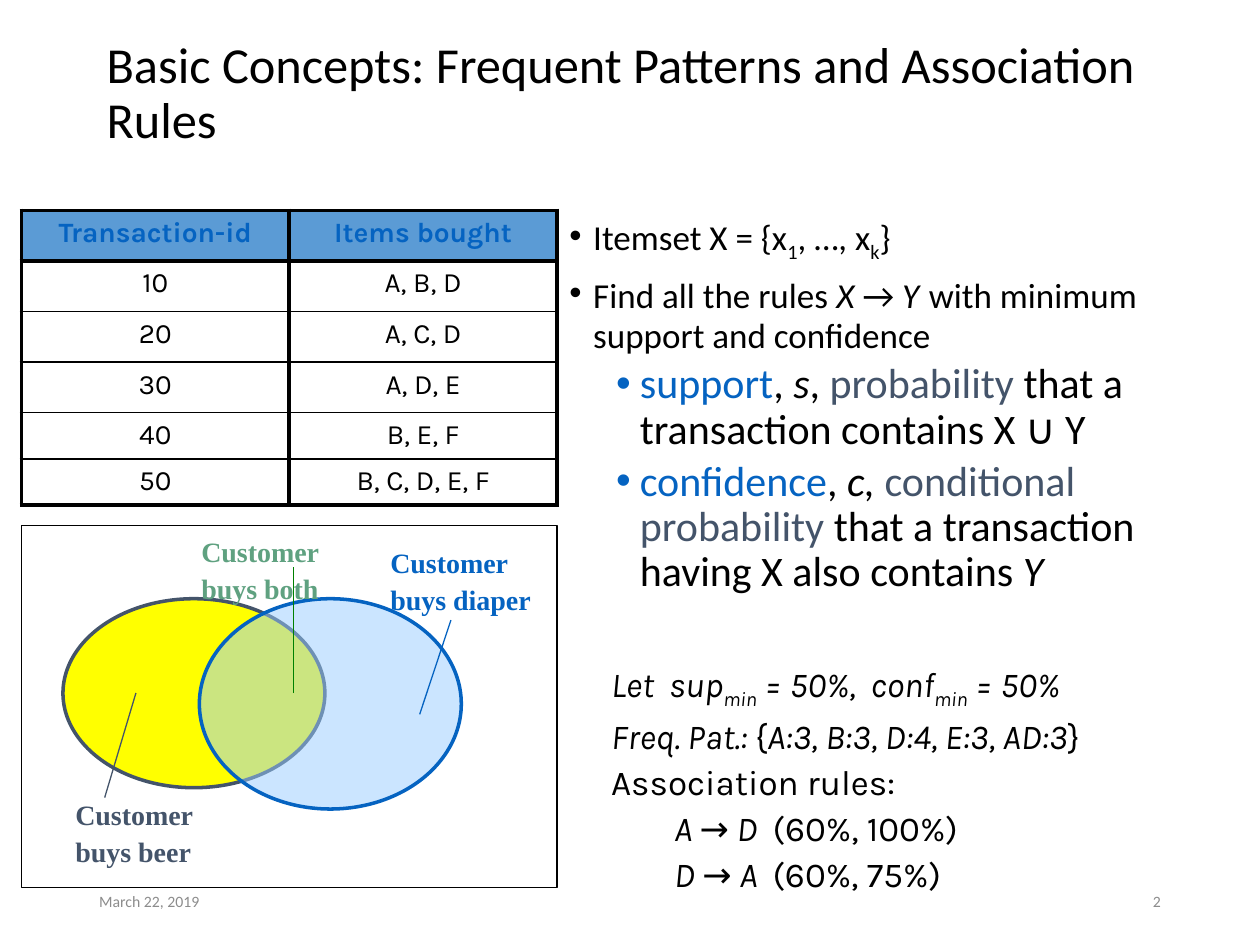
"""Build the slide on frequent patterns and association rules."""
from dataclasses import dataclass

from lxml import etree
from pptx import Presentation
from pptx import util as u
from pptx.dml.color import RGBColor
from pptx.enum import shapes, text
from pptx.oxml import ns

COLOURS = {
    "black": "000000", "grey": "8C8C8C", "blue": "0563C1", "slate": "44546A",
    "header": "5B9BD5", "yellow": "FFFF00", "sky": "99CCFF",
    "sage": "5FA180", "green": "008000",
}
SERIF, SANS, KARLA = "Times New Roman", "Calibri", "Karla"


@dataclass(frozen=True)
class Span:
    words: str
    size: float = 20
    colour: str = "black"
    font: str = SANS
    italic: bool = False
    bold: bool = False
    subscript: bool = False


@dataclass(frozen=True)
class Para:
    spans: list[Span]
    spacing: float = 1.0
    before: float = 0
    margin: float = 0
    level: int = 0
    bullet: bool = False
    align: text.PP_ALIGN = text.PP_ALIGN.LEFT


@dataclass(frozen=True)
class Area:
    left: float
    top: float
    width: float
    height: float

    def lengths(self) -> list[u.Cm]:
        return [u.Cm(n) for n in (self.left, self.top, self.width, self.height)]


@dataclass(frozen=True)
class Label:
    area: Area
    lines: tuple[str, str]
    colour: str


@dataclass(frozen=True)
class Oval:
    area: Area
    fill: str
    line: str
    opacity: int


@dataclass(frozen=True)
class Pointer:
    start: tuple[float, float]
    end: tuple[float, float]
    colour: str


def rgb(name: str) -> RGBColor:
    return RGBColor.from_string(COLOURS[name])


def child(parent, tag: str, **attributes: str):
    return etree.SubElement(parent, ns.qn(tag), attributes)


def write_para(para, content: Para) -> None:
    properties = para._p.get_or_add_pPr()
    if content.margin:
        properties.set("marL", str(u.Cm(content.margin)))
        properties.set("indent", str(u.Cm(-0.48) if content.bullet else 0))
    if content.bullet:
        child(properties, "a:buFont", typeface="Arial")
        child(properties, "a:buChar", char="•")
    para.level = content.level
    para.alignment = content.align
    para.line_spacing = content.spacing
    para.space_before = u.Pt(content.before)
    for item in content.spans:
        span = para.add_run()
        span.text = item.words
        span.font.name = item.font
        span.font.size = u.Pt(item.size)
        span.font.color.rgb = rgb(item.colour)
        span.font.italic = item.italic
        span.font.bold = item.bold
        if item.subscript:
            span._r.get_or_add_rPr().set("baseline", "-25000")


def write_frame(frame, paras: list[Para]) -> None:
    for index, content in enumerate(paras):
        write_para(frame.add_paragraph() if index else frame.paragraphs[0], content)


def add_text(page, area: Area, paras: list[Para], anchor=text.MSO_ANCHOR.TOP) -> None:
    frame = page.shapes.add_textbox(*area.lengths()).text_frame
    frame.word_wrap = True
    frame.vertical_anchor = anchor
    write_frame(frame, paras)


def add_oval(page, oval: Oval) -> None:
    shape = page.shapes.add_shape(shapes.MSO_SHAPE.OVAL, *oval.area.lengths())
    shape.shadow.inherit = False
    shape.fill.solid()
    shape.fill.fore_color.rgb = rgb(oval.fill)
    shape.line.color.rgb = rgb(oval.line)
    shape.line.width = u.Pt(2)
    colour = shape._element.spPr.find(ns.qn("a:solidFill"))[0]
    child(colour, "a:alpha", val=str(oval.opacity * 1000))


def add_pointer(page, pointer: Pointer) -> None:
    ends = [u.Cm(n) for n in pointer.start + pointer.end]
    line = page.shapes.add_connector(shapes.MSO_CONNECTOR.STRAIGHT, *ends)
    line.line.color.rgb = rgb(pointer.colour)
    line.line.width = u.Pt(0.75)
    child(line._element.spPr, "a:effectLst")


def add_label(page, label: Label) -> None:
    paras = [Para([Span(line, 16, label.colour, SERIF, bold=True)], 1.1) for line in label.lines]
    add_text(page, label.area, paras)


def add_frame(page, area: Area) -> None:
    shape = page.shapes.add_shape(shapes.MSO_SHAPE.RECTANGLE, *area.lengths())
    shape.shadow.inherit = False
    shape.fill.background()
    shape.line.color.rgb = rgb("black")
    shape.line.width = u.Pt(0.75)


def set_borders(cell, top: float, bottom: float) -> None:
    properties = cell._tc.get_or_add_tcPr()
    for side, width in (("L", 2.25), ("R", 2.25), ("T", top), ("B", bottom)):
        border = child(properties, f"a:ln{side}", w=str(u.Pt(width)))
        child(child(border, "a:solidFill"), "a:srgbClr", val=COLOURS["black"])


def add_transactions(page, area: Area, rows: list[tuple[str, str]], heights: list[float]) -> None:
    table = page.shapes.add_table(len(rows), 2, *area.lengths()).table
    table.first_row = table.horz_banding = False
    for column in table.columns:
        column.width = u.Cm(area.width / 2)
    for i, (row, height) in enumerate(zip(rows, heights)):
        table.rows[i].height = u.Cm(height)
        for j, words in enumerate(row):
            cell, header = table.cell(i, j), i == 0
            set_borders(cell, 2.25 if i < 2 else 1, 2.25 if i in (0, len(rows) - 1) else 1)
            if header:
                cell.fill.solid()
                cell.fill.fore_color.rgb = rgb("header")
            else:
                cell.fill.background()
            span = Span(words, 16, "blue" if header else "black", KARLA, bold=header)
            write_frame(cell.text_frame, [Para([span], align=text.PP_ALIGN.CENTER)])


def concept(spans: list[Span], before: float = 7.5) -> Para:
    return Para(spans, 0.9, before, 0.48, bullet=True)


def measure(*spans: tuple[str, str, bool]) -> Para:
    return Para([Span(words, 24, colour, italic=italic) for words, colour, italic in spans],
                0.9, 3.8, 1.42, 1, True)


def note(*spans: tuple[str, bool], margin: float = 0) -> Para:
    return Para([Span(words, font=KARLA, italic=italic, subscript=words == "min")
                 for words, italic in spans], 1.1, margin=margin, level=int(margin > 0))


def main() -> None:
    deck = Presentation()
    deck.slide_width, deck.slide_height = u.Cm(25.4), u.Cm(19.05)
    page = deck.slides.add_slide(deck.slide_layouts[6])
    middle = text.MSO_ANCHOR.MIDDLE
    add_text(page, Area(1.75, 17.65, 5.72, 1.02), [Para([Span("March 22, 2019", 9, "grey")])], middle)
    add_text(page, Area(17.93, 17.65, 5.72, 1.02),
             [Para([Span("2", 9, "grey")], align=text.PP_ALIGN.RIGHT)], middle)
    title = Span("Basic Concepts: Frequent Patterns and Association Rules", 28.8)
    add_text(page, Area(1.9, 0.64, 22.23, 2.54), [Para([title], 0.9)], middle)
    add_text(page, Area(11.23, 4.24, 13.77, 8.89), [
        concept([Span("Itemset X = {x"), Span("1", subscript=True), Span(", …, x"),
                 Span("k", subscript=True), Span("}")], 0),
        concept([Span("Find all the rules "), Span("X ", italic=True), Span("→ "),
                 Span("Y", italic=True), Span(" ", 24),
                 Span("with minimum support and confidence")]),
        measure(("support", "blue", False), (", ", "black", False), ("s", "black", True),
                (", ", "black", False), ("probability", "slate", False),
                (" that a transaction contains X ∪ Y", "black", False)),
        measure(("confidence", "blue", False), (", ", "black", False), ("c, ", "black", True),
                ("conditional probability", "slate", False),
                (" that a transaction having X also contains ", "black", False),
                ("Y", "black", True)),
    ])
    rules = [("A", "D", "(60%, 100%)"), ("D", "A", "(60%, 75%)")]
    add_text(page, Area(12.07, 13.13, 12.7, 4.65), [
        note(("Let  sup", True), ("min", True), (" = 50%,  conf", True), ("min", True), (" = 50%", True)),
        note(("Freq. Pat.: ", True), ("{", False), ("A:3, B:3, D:4, E:3, AD:3", True), ("}", False)),
        note(("Association rules:", False)),
        *(note((f"{left} ", True), ("→", False), (f" {right}  ", True), (values, False), margin=1.27)
          for left, right, values in rules),
    ])
    for oval in (Oval(Area(1.27, 12.07, 5.28, 3.81), "yellow", "slate", 100),
                 Oval(Area(4.02, 12.07, 5.28, 4.24), "sky", "blue", 50)):
        add_oval(page, oval)
    for pointer in (Pointer((2.74, 13.97), (2.11, 16.08), "slate"),
                    Pointer((8.46, 14.4), (9.09, 12.5), "blue"),
                    Pointer((5.92, 13.97), (5.92, 11.43), "green")):
        add_pointer(page, pointer)
    for label in (Label(Area(7.62, 10.8, 3.38, 1.75), ("Customer", "buys diaper"), "blue"),
                  Label(Area(3.81, 10.59, 2.9, 1.75), ("Customer", "buys both"), "sage"),
                  Label(Area(1.27, 15.88, 2.9, 1.75), ("Customer", "buys beer"), "slate")):
        add_label(page, label)
    add_frame(page, Area(0.43, 10.59, 10.8, 7.3))
    add_transactions(page, Area(0.43, 4.24, 10.8, 5.7), [
        ("Transaction-id", "Items bought"), ("10", "A, B, D"), ("20", "A, C, D"),
        ("30", "A, D, E"), ("40", "B, E, F"), ("50", "B, C, D, E, F"),
    ], [1.02] * 4 + [0.81] * 2)
    deck.save("out.pptx")


if __name__ == "__main__":
    main()
